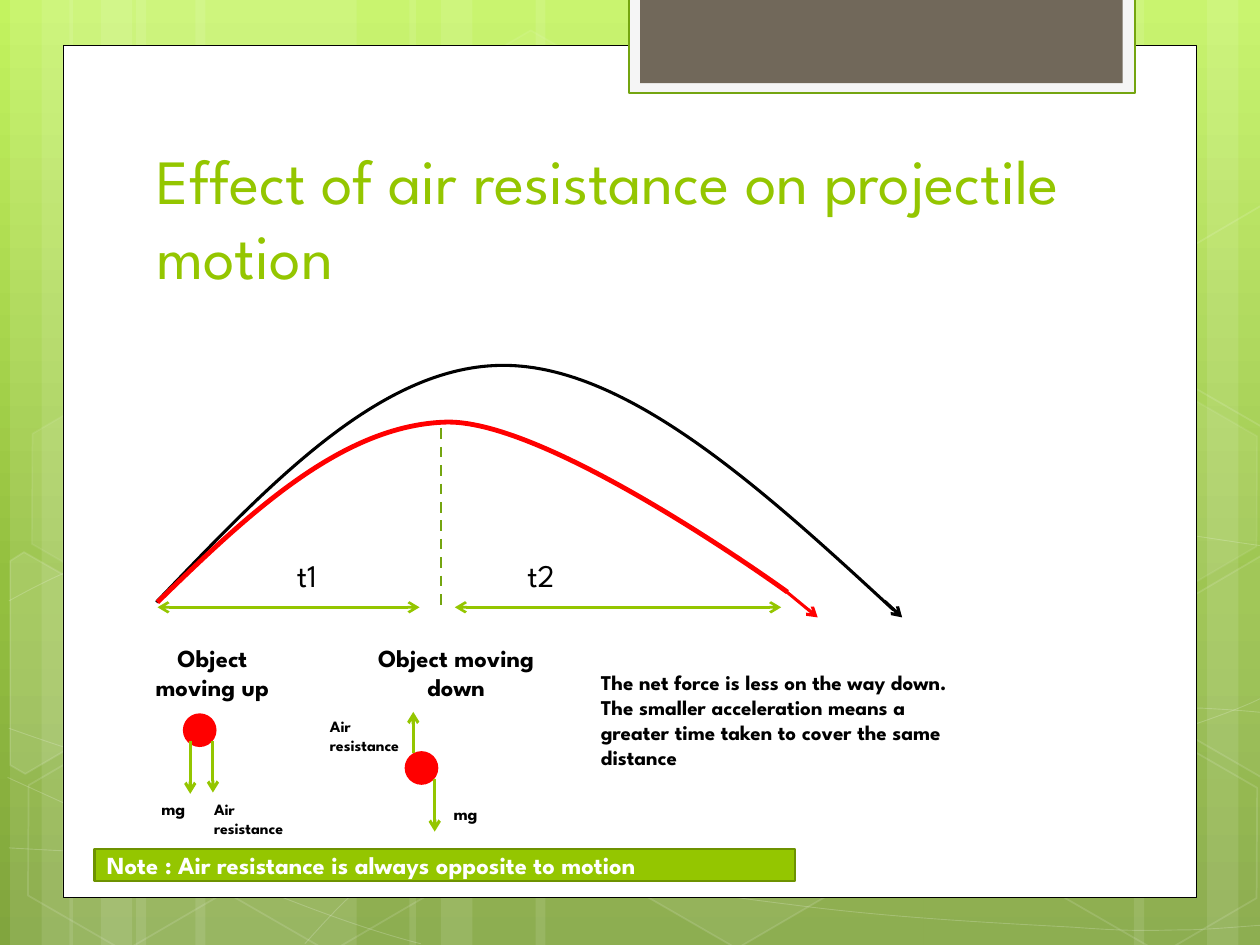
from copy import deepcopy
from math import cos, radians, sin

from lxml import etree
from pptx import Presentation
from pptx.dml.color import RGBColor
from pptx.enum.dml import MSO_LINE
from pptx.enum.shapes import MSO_CONNECTOR, MSO_SHAPE
from pptx.enum.text import MSO_ANCHOR, PP_ALIGN
from pptx.oxml.ns import qn
from pptx.util import Inches, Pt

FONT = "League Spartan"
WHITE = RGBColor(0xFF, 0xFF, 0xFF)
BLACK = RGBColor(0, 0, 0)
RED = RGBColor(0xFF, 0, 0)
GREEN = RGBColor(0x94, 0xC6, 0x00)
DARK_GREEN = RGBColor(0x6D, 0x92, 0x00)
LEAF = RGBColor(0x74, 0xA5, 0x10)
PALE = RGBColor(0xF5, 0xF5, 0xF5)
BROWN = RGBColor(0x71, 0x68, 0x5A)
BACKGROUND = [(0, RGBColor(0xC3, 0xF3, 0x5F)), (0.62, RGBColor(0x93, 0xBF, 0x3F)),
              (1, RGBColor(0x81, 0xA5, 0x3E))]

STRIPES = [(1.08, 1.75), (0.08, 0.5), (0.33, 0.83), (1.55, 1.75), (0.55, 0.5), (0.8, 0.83),
           (7.33, 1.75), (9.58, 0.5), (9, 0.83), (4.25, 3.08), (3.25, 0.5), (3.5, 0.83)]
# Each wave is a start point followed by cubic segments (two controls and an end).
WAVES = [
    [(0.07, 6.73), (0.61, 6.76), (1.15, 6.79), (1.9, 6.78), (2.65, 6.77), (3.58, 6.75),
     (4.58, 6.65), (5.58, 6.55), (7, 6.36), (7.92, 6.17), (8.83, 5.98), (9.77, 5.68),
     (10.07, 5.51)],
    [(0.07, 4.77), (0.36, 4.61), (0.65, 4.46), (1.21, 4.31), (1.78, 4.16), (2.59, 3.94),
     (3.47, 3.87), (4.36, 3.8), (5.44, 3.79), (6.54, 3.87), (7.64, 3.95), (9.47, 4.26),
     (10.07, 4.34)],
    [(0.06, 6.17), (1.27, 6.72), (2.47, 7.27), (3.34, 7.49)],
    [(0.07, 5.78), (0.38, 5.89), (0.7, 6), (1.28, 6.16), (1.86, 6.31), (2.73, 6.56),
     (3.57, 6.73), (4.4, 6.9), (5.45, 7.08), (6.28, 7.18), (7.11, 7.29), (8, 7.33),
     (8.53, 7.36), (9.05, 7.4), (9.19, 7.38), (9.45, 7.38), (9.71, 7.37), (9.89, 7.35),
     (10.07, 7.34)],
    [(2.42, 7.49), (2.6, 7.29), (2.78, 7.09), (3.02, 6.91), (3.26, 6.73), (3.6, 6.53),
     (3.88, 6.39), (4.16, 6.25), (4.33, 6.19), (4.7, 6.09), (5.06, 5.99), (5.73, 5.85),
     (6.08, 5.78), (6.44, 5.71), (6.49, 5.71), (6.8, 5.69), (7.11, 5.66), (7.6, 5.63),
     (7.94, 5.62), (8.29, 5.61), (8.86, 5.62), (8.86, 5.62), (8.86, 5.62), (9.53, 5.62),
     (9.53, 5.62), (9.71, 5.63), (9.88, 5.64), (10.06, 5.66)],
]
# left, top, fill opacity, line opacity (percent)
HEXAGONS = [(3.34, 0.36, 4, 8), (4.97, 5.89, 6, 12), (0.11, 5.91, 0, 12), (0.14, 3.12, 7, 8),
            (1.74, 5.92, 0, 12), (7.53, 4.53, 10, 12), (8.34, 5.93, 0, 12), (8.34, 3.14, 7, 8)]
# corners as seen on the slide, centre, fill opacity
CUT_HEXAGONS = [
    ([(0.08, 4.45), (0.19, 4.38), (0.96, 4.82), (0.95, 5.7), (0.2, 6.14), (0.08, 6.07)],
     (0.36, 5.35), 10),
    ([(9.26, 4.85), (10.01, 4.41), (10.09, 4.46), (10.09, 6.13), (10.02, 6.17), (9.26, 5.73)],
     (9.85, 5.2), 4),
    ([(9.26, 2.07), (10.01, 1.63), (10.1, 1.68), (10.09, 3.35), (10.02, 3.39), (9.26, 2.95)],
     (9.85, 2.41), 0),
]
TILT = 30


def paint(sp, fill=None, line=None, width=1.25, fill_alpha=100, line_alpha=100):
    """Set fill and line; None means no fill or no line, alphas are percent."""
    sp.shadow.inherit = False
    for fmt, color, alpha in ((sp.fill, fill, fill_alpha), (sp.line.fill, line, line_alpha)):
        if color is None or alpha == 0:
            fmt.background()
            continue
        fmt.solid()
        fmt.fore_color.rgb = color
    if line is not None:
        sp.line.width = Pt(width)
    spPr = sp._element.spPr
    for tag, alpha in (("a:solidFill", fill_alpha), ("a:ln/a:solidFill", line_alpha)):
        solid = spPr.find("/".join(qn(t) for t in tag.split("/")))
        if solid is not None and alpha < 100:
            etree.SubElement(solid[0], qn("a:alpha"), val=str(alpha * 1000))
    return sp


def add_preset(slide, kind, box, **style):
    return paint(slide.shapes.add_shape(kind, *map(Inches, box)), **style)


def add_outline(slide, points, closed=False, **style):
    builder = slide.shapes.build_freeform(*map(Inches, points[0]), scale=1.0)
    builder.add_line_segments([tuple(map(Inches, pt)) for pt in points[1:]], close=closed)
    return paint(builder.convert_to_shape(), **style)


def add_curve(slide, knots, **style):
    """Draw a chain of cubic Bezier segments: an outline of its ends, then bent by its controls."""
    sp = add_outline(slide, knots[::3], **style)
    for i, segment in enumerate(list(sp._element.iter(qn("a:lnTo")))):
        bend = etree.Element(qn("a:cubicBezTo"))
        for x, y in knots[3 * i + 1:3 * i + 3]:
            etree.SubElement(bend, qn("a:pt"), x=str(Inches(x) - sp.left),
                             y=str(Inches(y) - sp.top))
        bend.append(segment[0])
        segment.getparent().replace(segment, bend)


def turn(point, centre, degrees):
    dx, dy = point[0] - centre[0], point[1] - centre[1]
    c, s = cos(radians(degrees)), sin(radians(degrees))
    return centre[0] + dx * c - dy * s, centre[1] + dx * s + dy * c


def add_line(slide, start, end, color, width, ends=("tailEnd",), dash=None):
    cx = slide.shapes.add_connector(MSO_CONNECTOR.STRAIGHT, *map(Inches, (*start, *end)))
    cx.line.color.rgb = color
    cx.line.width = Pt(width)
    if dash:
        cx.line.dash_style = dash
    for tag in ends:
        etree.SubElement(cx.line._get_or_add_ln(), qn(f"a:{tag}"), type="arrow")
    etree.SubElement(cx._element.spPr, qn("a:effectLst"))


def write(sp, text, size, color=BLACK, bold=True, align=PP_ALIGN.LEFT, anchor=MSO_ANCHOR.MIDDLE):
    tf = sp.text_frame
    tf.word_wrap = True
    tf.vertical_anchor = anchor
    tf.text = text
    for p in tf.paragraphs:
        p.alignment = align
        for r in p.runs:
            r.font.name, r.font.size, r.font.bold = FONT, Pt(size), bold
            r.font.color.rgb = color


def add_text(slide, box, text, size, **style):
    write(slide.shapes.add_textbox(*map(Inches, box)), text, size, **style)


def add_background(slide):
    fill = slide.background.fill
    fill.gradient()
    fill.gradient_angle = 270
    first = fill.gradient_stops[0]._gs
    first.addnext(deepcopy(first))
    for stop, (position, color) in zip(fill.gradient_stops, BACKGROUND):
        stop.position = position
        stop.color.rgb = color
    for left, width in STRIPES:
        add_preset(slide, MSO_SHAPE.RECTANGLE, (left, 0, width, 7.5), fill=WHITE, fill_alpha=10)
    for wave in WAVES:
        add_curve(slide, wave, line=WHITE, width=0.5, line_alpha=20)
    for left, top, fill_alpha, line_alpha in HEXAGONS:
        sp = add_preset(slide, MSO_SHAPE.HEXAGON, (left, top, 1.75, 1.52), fill=WHITE, line=WHITE,
                        width=1, fill_alpha=fill_alpha, line_alpha=line_alpha)
        sp.adjustments[0] = 0.285
        sp.rotation = TILT
    for corners, centre, alpha in CUT_HEXAGONS:
        upright = [turn(corner, centre, -TILT) for corner in corners]
        sp = add_outline(slide, upright, closed=True, fill=WHITE, line=WHITE, width=1,
                         fill_alpha=alpha, line_alpha=12)
        sp.rotation = TILT


def add_page_frame(slide):
    add_preset(slide, MSO_SHAPE.RECTANGLE, (0.5, 0.36, 9, 6.76), fill=WHITE, line=BLACK, width=0.5)
    add_preset(slide, MSO_SHAPE.RECTANGLE, (4.99, -0.02, 4.02, 0.76), fill=PALE, line=LEAF)
    add_preset(slide, MSO_SHAPE.RECTANGLE, (5.08, -0.02, 3.83, 0.68), fill=BROWN)


def add_trajectories(slide, x, y):
    """Draw both flight paths from the launch point (x, y) and the two time spans."""
    def at(dx, dy):
        return x + dx, y + dy

    add_line(slide, at(2.25, -1.38), at(2.25, 0.05), LEAF, 1.5, ends=(), dash=MSO_LINE.DASH)
    for label, start, end, label_left in (("t1", 0, 2.08, 0.85), ("t2", 2.36, 4.95, 2.71)):
        add_line(slide, at(start, 0.04), at(end, 0.04), GREEN, 1.5, ends=("headEnd", "tailEnd"))
        add_text(slide, (*at(label_left, -0.38), 0.67, 0.32), label, 18, bold=False,
                 align=PP_ALIGN.CENTER)
    without_air = [(-0.01, 0), (0.89, -0.94), (1.78, -1.89), (2.76, -1.88),
                   (3.73, -1.87), (4.79, -0.91), (5.84, 0.06)]
    with_air = [(0, 0), (0.73, -0.71), (1.47, -1.41), (2.3, -1.43),
                (3.13, -1.44), (5, -0.08), (5, -0.08)]
    for knots, color, width in ((without_air, BLACK, 1.75), (with_air, RED, 2.75)):
        add_curve(slide, [at(*k) for k in knots], line=color, width=width)
    add_line(slide, at(4.96, -0.11), at(5.24, 0.12), RED, 1.75)
    add_line(slide, at(5.77, -0.01), at(5.91, 0.12), BLACK, 1.75)


def add_force_diagram(slide, heading, heading_box, ball, arrows, mg_at, air_at):
    add_text(slide, heading_box, heading, 14, align=PP_ALIGN.CENTER)
    add_preset(slide, MSO_SHAPE.OVAL, (*ball, 0.25, 0.25), fill=RED, line=RED)
    for x, start, end in arrows:
        add_line(slide, (x, start), (x, end), GREEN, 1.75)
    add_text(slide, (*mg_at, 0.67, 0.33), "mg", 10, align=PP_ALIGN.CENTER)
    add_text(slide, (*air_at, 0.92, 0.5), "Air resistance", 9)


def main():
    prs = Presentation()
    prs.slide_width, prs.slide_height = Inches(10), Inches(7.5)
    slide = prs.slides.add_slide(prs.slide_layouts[6])
    add_background(slide)
    add_page_frame(slide)
    add_text(slide, (1.14, 1.12, 7.68, 1.25), "Effect of air resistance on projectile motion", 36,
             color=GREEN, bold=False, anchor=MSO_ANCHOR.BOTTOM)
    add_force_diagram(slide, "Object moving up", (1.04, 5.17, 1.29, 0.33), (1.46, 5.67),
                      [(1.51, 5.88, 6.3), (1.69, 5.88, 6.29)], (1.04, 6.25), (1.6, 6.25))
    add_force_diagram(slide, "Object moving down", (2.78, 5.17, 1.68, 0.33), (3.22, 5.97),
                      [(3.45, 6.18, 6.6), (3.28, 5.98, 5.65)], (3.36, 6.29), (2.52, 5.59))
    note = add_preset(slide, MSO_SHAPE.RECTANGLE, (0.75, 6.74, 5.56, 0.25), fill=GREEN,
                      line=DARK_GREEN)
    write(note, "Note : Air resistance is always opposite to motion", 14, color=WHITE)
    add_text(slide, (4.67, 4.92, 3.08, 1.58),
             "The net force is less on the way down.\nThe smaller acceleration means a greater "
             "time taken to cover the same distance", 12)
    add_trajectories(slide, 1.25, 4.78)
    prs.save("out.pptx")


if __name__ == "__main__":
    main()
